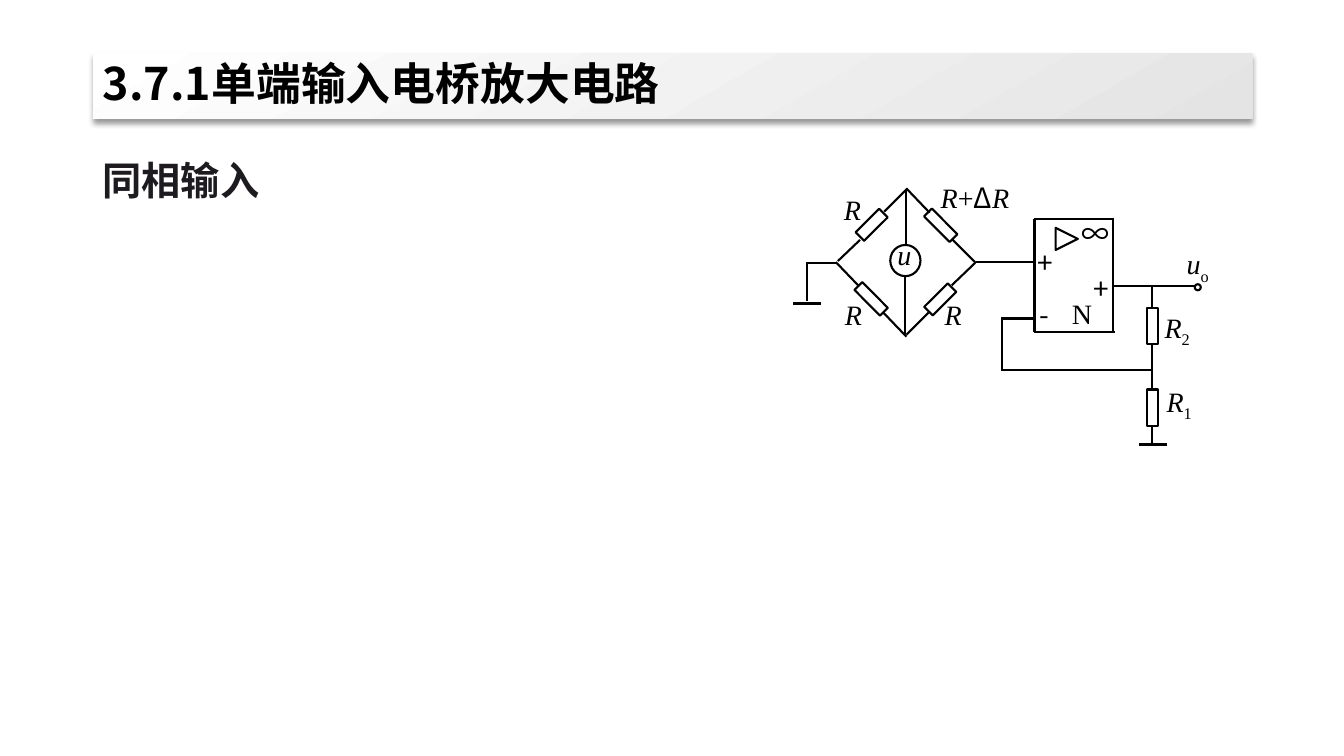
from lxml import etree
from pptx import Presentation
from pptx.dml.color import RGBColor
from pptx.enum.shapes import MSO_CONNECTOR as Link, MSO_SHAPE as Kind
from pptx.enum.text import MSO_ANCHOR as Anchor, MSO_AUTO_SIZE as Fit, PP_ALIGN as Align
from pptx.oxml import parse_xml
from pptx.oxml.ns import nsdecls, qn
from pptx.util import Inches, Pt

BLACK = RGBColor(0, 0, 0)
INK = RGBColor(0x1D, 0x1B, 0x1F)
WHITE = RGBColor(255, 255, 255)
GREY = RGBColor(0xE4, 0xE4, 0xE4)
SANS = "Noto Sans CJK SC"
SERIF = "Times New Roman"
THIN, THICK = 1.5, 2.5

HEAD = "3.7.1单端输入电桥放大电路"
TOPIC = "同相输入"

ITALIC = {"italic": True}
SUB = {"sub": True}
PLAIN = {"face": SANS}
R = ("R", ITALIC)
U = ("u", ITALIC)
LABELS = [
    (9.33, 1.79, 0.92, 0.31, [R, ("+", {}), ("Δ", PLAIN), R]),
    (11.55, 3.08, 0.28, 0.30, [R, ("2", SUB)]),
    (11.57, 3.81, 0.42, 0.37, [R, ("1", SUB)]),
    (11.77, 2.45, 0.28, 0.31, [U, ("o", SUB)]),
    (10.73, 2.15, 0.23, 0.20, [("∞", PLAIN)]),
    (10.31, 2.95, 0.22, 0.28, [("-", PLAIN)]),
    (10.29, 2.44, 0.18, 0.24, [("+", PLAIN)]),
    (10.85, 2.69, 0.20, 0.22, [("+", PLAIN)]),
    (10.63, 2.94, 0.22, 0.27, [("N", {})]),
    (8.37, 1.91, 0.28, 0.32, [R]),
    (8.38, 2.95, 0.37, 0.29, [R]),
    (9.37, 2.95, 0.36, 0.28, [R]),
    (8.90, 2.36, 0.34, 0.33, [U]),
]

BOX, RING, WEDGE = Kind.RECTANGLE, Kind.OVAL, Kind.ISOSCELES_TRIANGLE
PARTS = [
    (BOX, 11.25, 3.18, 0.36, 0.11, 90),
    (BOX, 11.25, 3.99, 0.36, 0.11, 90),
    (BOX, 9.16, 2.91, 0.33, 0.12, 135.2),
    (BOX, 8.46, 2.91, 0.36, 0.11, 225.2),
    (BOX, 8.48, 2.17, 0.33, 0.12, 315.2),
    (BOX, 9.15, 2.18, 0.36, 0.11, 45.2),
    (RING, 8.83, 2.43, 0.30, 0.31, 0),
    (RING, 11.85, 2.82, 0.06, 0.06, 0),
    (WEDGE, 10.47, 2.26, 0.22, 0.22, 90),
]

BRIDGE = [
    (9.21, 3.10, 8.99, 3.32), (9.67, 2.61, 9.44, 2.83),
    (8.52, 2.84, 8.29, 2.60), (8.99, 3.34, 8.76, 3.10),
    (8.77, 2.10, 9.00, 1.87), (8.31, 2.59, 8.53, 2.38),
    (9.44, 2.37, 9.68, 2.61), (8.99, 1.87, 9.22, 2.11),
    (8.98, 3.31, 8.98, 2.73), (8.99, 2.44, 8.99, 1.89),
    (8.30, 2.61, 8.00, 2.61), (8.00, 2.60, 8.00, 2.99),
]
AMP = [
    (10.26, 2.17, 11.04, 2.17), (11.04, 2.16, 11.04, 3.29),
    (10.26, 3.29, 11.06, 3.29), (10.26, 2.17, 10.26, 3.29),
]
WIRES = [
    (9.68, 2.60, 10.25, 2.60), (11.42, 3.67, 9.93, 3.67),
    (9.93, 3.16, 10.26, 3.16), (9.94, 3.15, 9.94, 3.68),
    (11.84, 2.84, 11.04, 2.84), (11.43, 2.84, 11.43, 3.05),
    (11.43, 3.42, 11.43, 3.86), (11.43, 4.22, 11.43, 4.40),
]
GROUNDS = [(11.30, 4.41, 11.57, 4.41), (7.87, 3.01, 8.14, 3.01)]


def write(para, text, face=SERIF, size=20, color=BLACK, bold=False, italic=False, sub=False):
    run = para.add_run()
    run.text = text
    font = run.font
    font.name, font.size, font.bold, font.italic = face, Pt(size), bold, italic
    font.color.rgb = color
    props = run._r.get_or_add_rPr()
    for tag in ("a:ea", "a:cs"):
        etree.SubElement(props, qn(tag)).set("typeface", face)
    if sub:
        props.set("baseline", "-25000")


def place(shape, *rect):
    shape.left, shape.top, shape.width, shape.height = map(Inches, rect)


def draw(shapes, ends, width):
    wire = shapes.add_connector(Link.STRAIGHT, *map(Inches, ends))
    wire.line.color.rgb = BLACK
    wire.line.width = Pt(width)
    etree.SubElement(wire._element.spPr, qn("a:effectLst"))


def add_part(shapes, kind, *rect, turn):
    part = shapes.add_shape(kind, *map(Inches, rect))
    part.rotation = turn
    part.shadow.inherit = False
    part.fill.background()
    part.line.color.rgb = BLACK
    part.line.width = Pt(THIN)


def add_label(shapes, rect, runs):
    frame = shapes.add_textbox(*map(Inches, rect)).text_frame
    frame.word_wrap = True
    frame.margin_left = frame.margin_right = frame.margin_top = frame.margin_bottom = 0
    para = frame.paragraphs[0]
    para.alignment = Align.JUSTIFY
    for text, style in runs:
        write(para, text, **style)


def add_head(title):
    place(title, 0.92, 0.53, 11.5, 0.65)
    title.fill.gradient()
    title.fill.gradient_angle = 300
    for stop, color, spot in zip(title.fill.gradient_stops, (WHITE, GREY), (0, 1)):
        stop.color.rgb = color
        stop.position = spot
    title.line.fill.background()
    title._element.spPr.append(parse_xml(
        f'<a:effectLst {nsdecls("a")}>'
        f'<a:outerShdw blurRad="{Pt(4)}" dist="{Pt(3)}" dir="5400000" algn="t" rotWithShape="0">'
        '<a:srgbClr val="000000"><a:alpha val="40000"/></a:srgbClr>'
        '</a:outerShdw></a:effectLst>'))
    frame = title.text_frame
    frame.auto_size = Fit.NONE
    frame.word_wrap = True
    frame.vertical_anchor = Anchor.MIDDLE
    para = frame.paragraphs[0]
    para.alignment = Align.LEFT
    para.line_spacing = 0.9
    write(para, HEAD, face=SANS, size=32, bold=True)


def add_topic(shapes):
    frame = shapes.add_textbox(*map(Inches, (0.92, 1.27, 11.5, 5.48))).text_frame
    frame.word_wrap = True
    para = frame.paragraphs[0]
    para.line_spacing = 1.5
    write(para, TOPIC, face=SANS, size=28, color=INK, bold=True)


def main():
    deck = Presentation()
    deck.slide_width, deck.slide_height = Inches(13.33), Inches(7.5)
    shapes = deck.slides.add_slide(deck.slide_layouts[5]).shapes
    add_head(shapes.title)
    add_topic(shapes)
    for kind, *rect, turn in PARTS:
        add_part(shapes, kind, *rect, turn=turn)
    for ends in BRIDGE + AMP + WIRES:
        draw(shapes, ends, THIN)
    for ends in GROUNDS:
        draw(shapes, ends, THICK)
    for *rect, runs in LABELS:
        add_label(shapes, rect, runs)
    deck.save("out.pptx")


if __name__ == "__main__":
    main()
